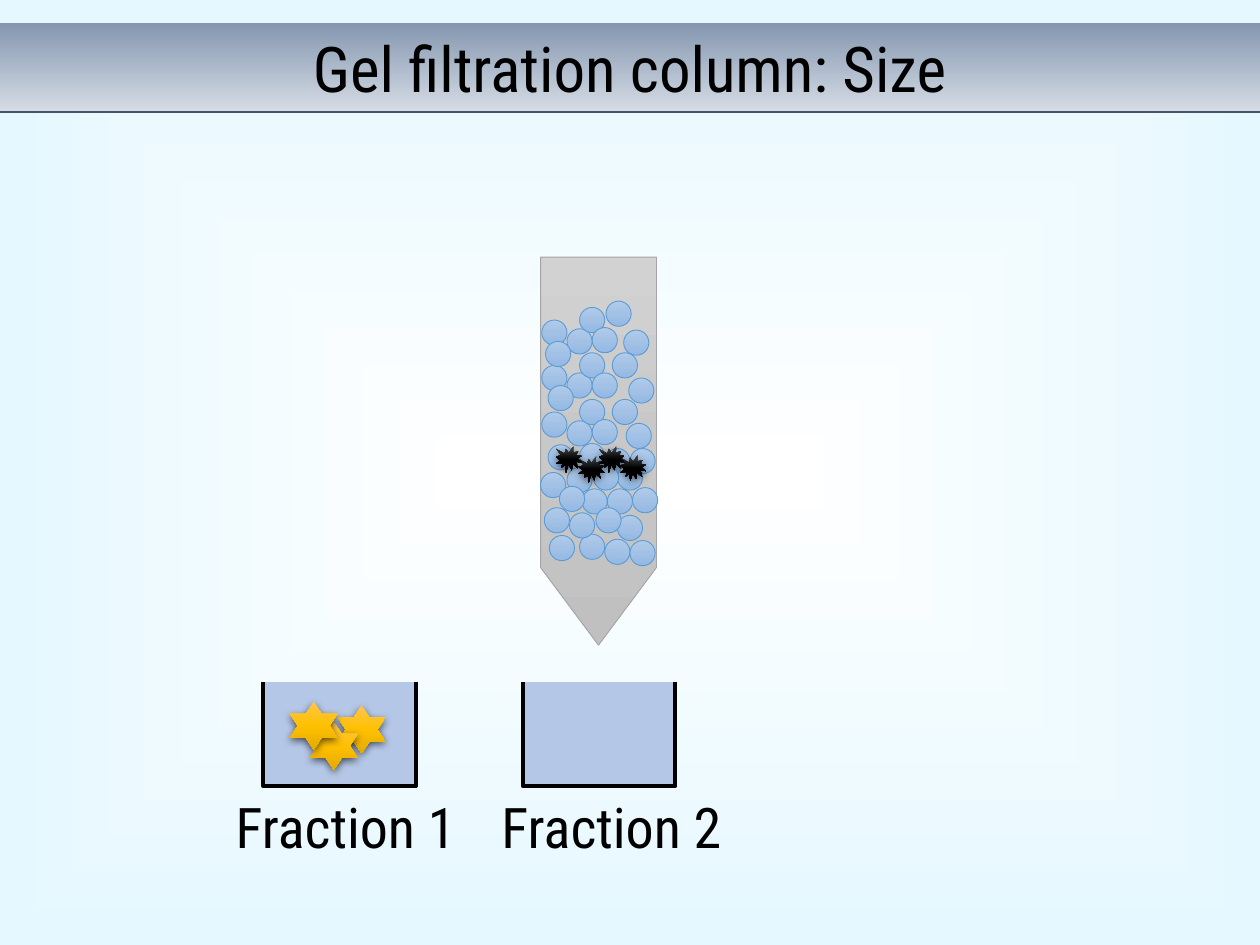
from lxml import etree
from pptx import Presentation, util as u
from pptx.dml.color import RGBColor
from pptx.enum import shapes as kinds, text
from pptx.oxml.ns import qn

# Content
TITLE = "Gel filtration column: Size"
FRACTIONS = [("Fraction 1", 2.09, 1.87), ("Fraction 2", 4.15, 3.98)]  # beaker left, label left
# Top-left corners, back to front
BEADS = [
    (4.3, 2.54), (4.5, 2.61), (4.6, 2.44), (4.7, 2.6), (4.81, 2.39), (4.95, 2.62),
    (4.3, 2.9), (4.5, 2.96), (4.6, 2.8), (4.7, 2.96), (4.86, 2.8), (4.99, 3),
    (4.3, 3.27), (4.5, 3.34), (4.6, 3.17), (4.7, 3.33), (4.86, 3.17), (4.97, 3.36),
    (4.33, 2.71), (4.35, 3.06), (4.35, 3.53), (4.6, 3.52), (4.8, 3.56), (4.5, 3.71),
    (5, 3.56), (4.62, 3.88), (4.32, 4.03), (4.82, 3.88), (4.9, 4.09), (4.6, 4.24),
    (4.29, 3.75), (4.52, 4.07), (5.02, 3.87), (4.9, 3.69), (4.71, 3.69), (4.73, 4.03),
    (4.44, 3.86), (4.36, 4.25), (4.8, 4.28), (5, 4.29),
]
SMALL_PROTEINS = [(4.92, 3.61), (4.59, 3.62), (4.41, 3.54), (4.75, 3.54)]
LARGE_PROTEINS = [(2.68, 5.6), (2.46, 5.73), (2.3, 5.57)]

# Style
FONT = "Roboto Condensed"
BLACK = RGBColor(0, 0, 0)
LIQUID = RGBColor(0xB4, 0xC7, 0xE7)
COLUMN_LINE = RGBColor(0xA5, 0xA5, 0xA5)
BEAD_LINE = RGBColor(0x5B, 0x9B, 0xD5)
TITLE_LINE = RGBColor(0x44, 0x54, 0x6A)
BACKGROUND_STOPS = ["FFFFFF", "E5F8FF"]
TITLE_STOPS = ["8497B0", "D6DCE5"]
COLUMN_STOPS = ["D2D2D2", "C8C8C8", "C0C0C0"]
BEAD_STOPS = ["B1CBE9", "A3C1E5", "93B9E4"]
SMALL_STOPS = ["4B4B4B", "000000", "000000"]
LARGE_STOPS = ["FFC64B", "FFC000", "E3AB00"]

WIDTH, HEIGHT = 10, 7.5
BAR_TOP, BAR_HEIGHT = 0.18, 0.71
BEAKER_TOP, BEAKER_WIDTH, BEAKER_HEIGHT = 5.41, 1.21, 0.83
LABEL_TOP, LABEL_WIDTH, LABEL_HEIGHT = 6.29, 1.78, 0.54


def child(parent, tag, **attributes):
    return etree.SubElement(parent, qn(tag), {k: str(v) for k, v in attributes.items()})


def paint_gradient(fill, owner, stops, from_centre=False):
    """Evenly spaced stops, running downwards or outwards from the centre."""
    fill.gradient()
    gradient = owner.find(".//" + qn("a:gradFill"))
    for old in list(gradient):
        gradient.remove(old)
    stop_list = child(gradient, "a:gsLst")
    for i, colour in enumerate(stops):
        stop = child(stop_list, "a:gs", pos=100000 * i // (len(stops) - 1))
        child(stop, "a:srgbClr", val=colour)
    if from_centre:
        route = child(gradient, "a:path", path="rect")
        child(route, "a:fillToRect", l=50000, t=50000, r=50000, b=50000)
    else:
        child(gradient, "a:lin", ang=5400000, scaled=0)


def add_part(parent, kind, left, top, width, height, stops, line=None):
    part = parent.shapes.add_shape(kind, *map(u.Inches, (left, top, width, height)))
    part.shadow.inherit = False
    paint_gradient(part.fill, part.element, stops)
    if line is None:
        part.line.fill.background()
    else:
        part.line.color.rgb = line
        part.line.width = u.Pt(0.5)
    return part


def add_proteins(parent, kind, corners, size, stops):
    for left, top in corners:
        protein = add_part(parent, kind, left, top, size, size, stops)
        effects = protein.element.spPr.find(qn("a:effectLst"))
        shadow = child(effects, "a:outerShdw", blurRad=u.Pt(4.5), dist=u.Pt(1.5),
                       dir=5400000, algn="ctr", rotWithShape=0)
        child(child(shadow, "a:srgbClr", val="000000"), "a:alpha", val=63000)


def add_beaker(parent, left):
    right, bottom = left + BEAKER_WIDTH, BEAKER_TOP + BEAKER_HEIGHT
    corners = [(right, BEAKER_TOP), (right, bottom), (left, bottom), (left, BEAKER_TOP)]
    points = [(u.Inches(x), u.Inches(y)) for x, y in corners]
    outline = parent.shapes.build_freeform(*points[0])
    outline.add_line_segments(points[1:], close=False)
    beaker = outline.convert_to_shape()
    beaker.shadow.inherit = False
    beaker.fill.solid()
    beaker.fill.fore_color.rgb = LIQUID
    beaker.line.color.rgb = BLACK
    beaker.line.width = u.Pt(2.25)


def write(frame, words, size, side=0, edge=0):
    frame.text = words
    frame.margin_left = frame.margin_right = u.Inches(side)
    frame.margin_top = frame.margin_bottom = u.Inches(edge)
    font = frame.paragraphs[0].runs[0].font
    font.name, font.size, font.color.rgb = FONT, u.Pt(size), BLACK


prs = Presentation()
prs.slide_width, prs.slide_height = u.Inches(WIDTH), u.Inches(HEIGHT)
slide = prs.slides.add_slide(prs.slide_layouts[5])
paint_gradient(slide.background.fill, slide.element, BACKGROUND_STOPS, from_centre=True)

# Title bar and its rule
title = slide.shapes.title
title.left, title.top = 0, u.Inches(BAR_TOP)
title.width, title.height = prs.slide_width, u.Inches(BAR_HEIGHT)
paint_gradient(title.fill, title.element, TITLE_STOPS)
write(title.text_frame, TITLE, 36, edge=0.05)
title.text_frame.vertical_anchor = text.MSO_ANCHOR.MIDDLE
title.text_frame.paragraphs[0].alignment = text.PP_ALIGN.CENTER
bar_bottom = u.Inches(BAR_TOP + BAR_HEIGHT)
rule = slide.shapes.add_connector(kinds.MSO_CONNECTOR.STRAIGHT, 0, bar_bottom,
                                  prs.slide_width, bar_bottom)
rule.line.color.rgb = TITLE_LINE
rule.line.width = u.Pt(1)
child(rule.element.spPr, "a:effectLst")

# Column packed with beads
column = slide.shapes.add_group_shape()
add_part(column, kinds.MSO_SHAPE.FLOWCHART_OFFPAGE_CONNECTOR, 4.29, 2.04, 0.92, 3.08,
         COLUMN_STOPS, COLUMN_LINE)
for left, top in BEADS:
    add_part(column, kinds.MSO_SHAPE.OVAL, left, top, 0.2, 0.2, BEAD_STOPS, BEAD_LINE)

# Beakers and labels
for name, beaker_left, label_left in FRACTIONS:
    add_beaker(slide, beaker_left)
    label = slide.shapes.add_textbox(*map(u.Inches, (label_left, LABEL_TOP,
                                                     LABEL_WIDTH, LABEL_HEIGHT)))
    write(label.text_frame, name, 32)
    label.text_frame.word_wrap = False
    label.text_frame.auto_size = text.MSO_AUTO_SIZE.SHAPE_TO_FIT_TEXT

# Small proteins still in the column, large ones already collected
add_proteins(slide, kinds.MSO_SHAPE.EXPLOSION1, SMALL_PROTEINS, 0.21, SMALL_STOPS)
add_proteins(slide, kinds.MSO_SHAPE.STAR_6_POINT, LARGE_PROTEINS, 0.38, LARGE_STOPS)

prs.save("out.pptx")
